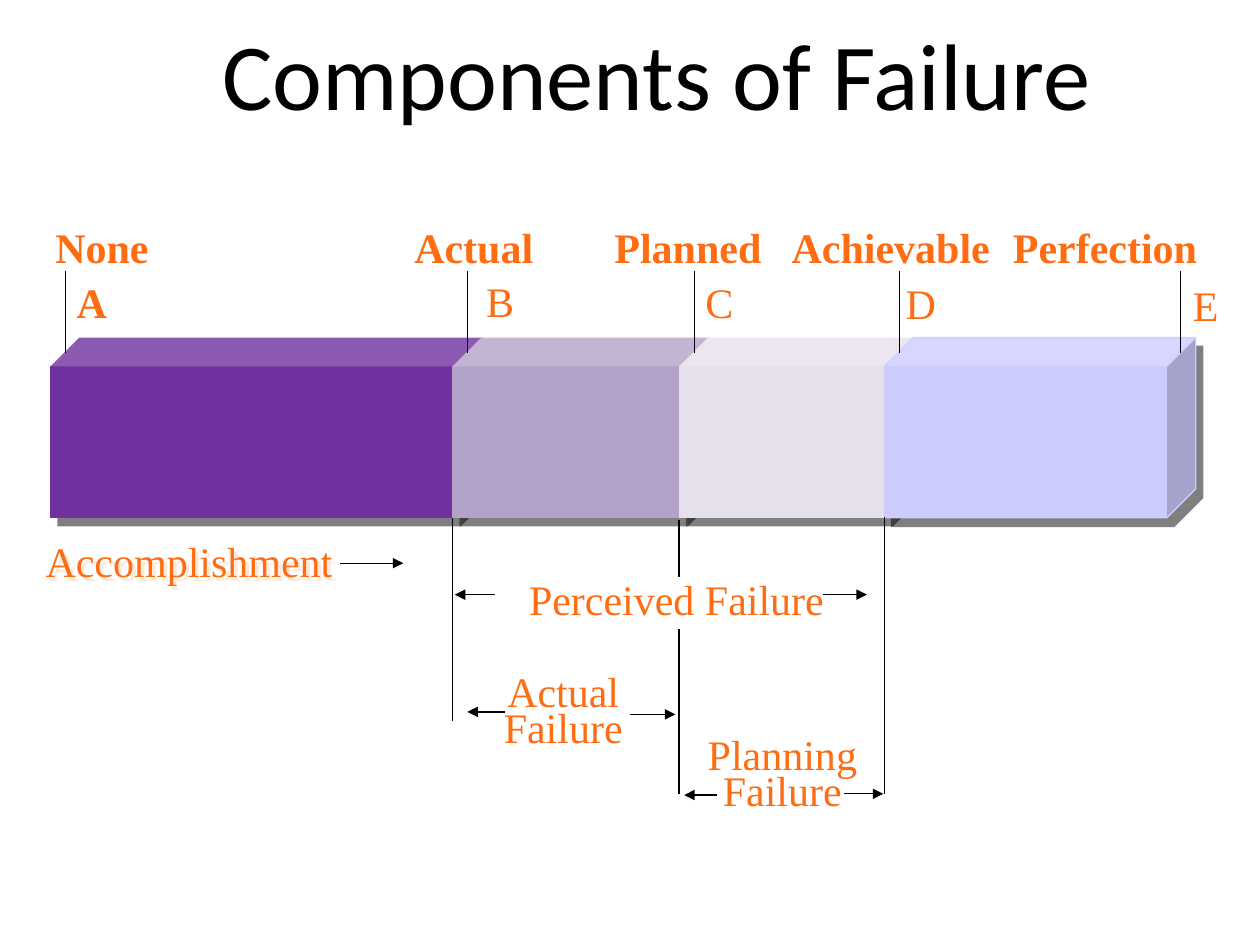
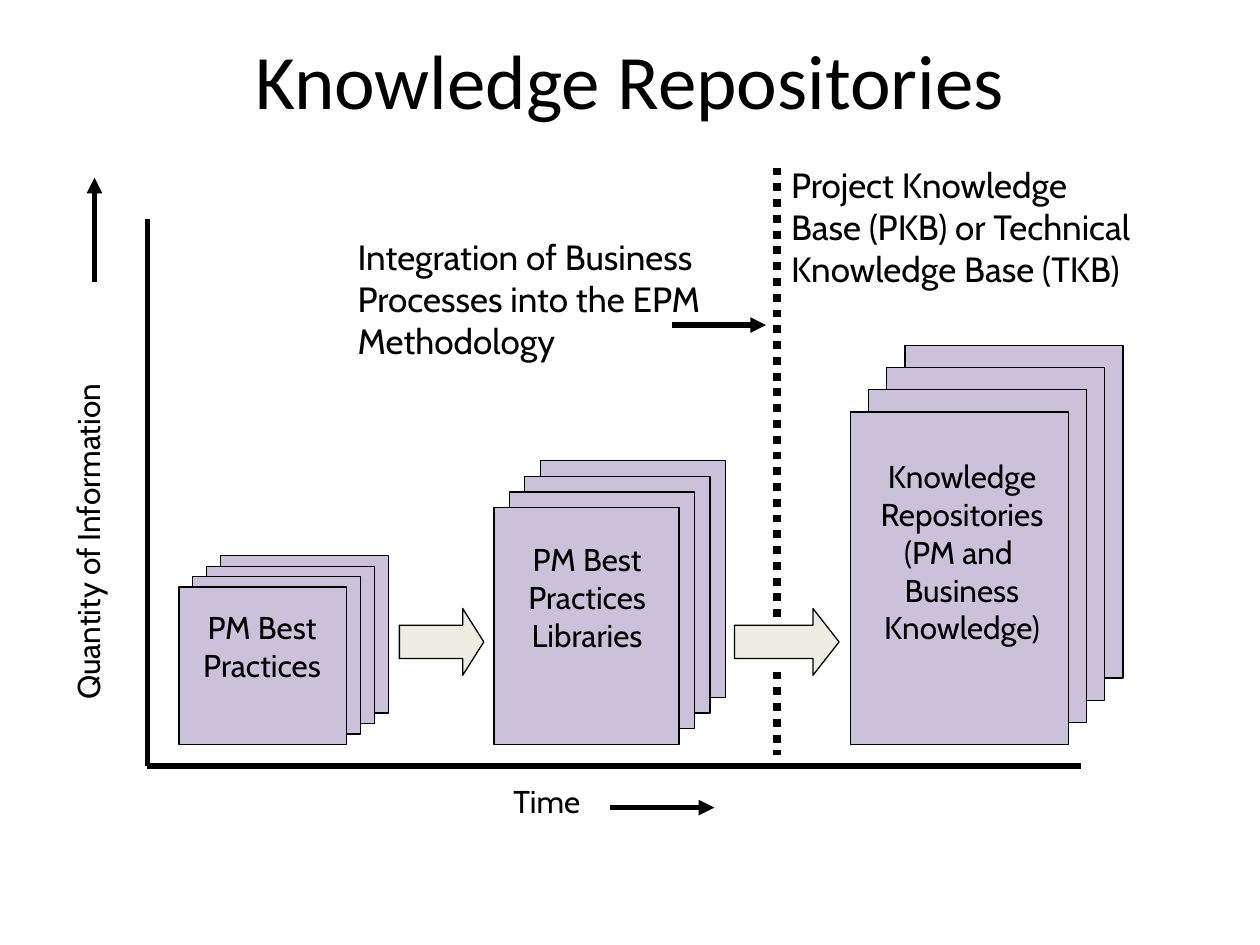
from dataclasses import dataclass

from lxml import etree
from pptx import Presentation
from pptx.dml.color import RGBColor
from pptx.enum import dml, shapes, text
from pptx.oxml import ns
from pptx.util import Inches, Pt


@dataclass(frozen=True)
class Theme:
    ink: str = "000000"
    label: str = "FF6C11"
    sheet: str = "CCC1DA"
    arrow: str = "EEECE1"
    title_font: str = "Calibri"
    scale_font: str = "Times New Roman"
    body_font: str = "Cabin"
    scale_size: int = 24
    note_size: int = 20
    body_size: int = 18
    thin: float = 0.75
    axis: float = 3
    dots: float = 4.5


T = Theme()
LEFT, CENTER, RIGHT = text.PP_ALIGN.LEFT, text.PP_ALIGN.CENTER, text.PP_ALIGN.RIGHT
MIDDLE = text.MSO_ANCHOR.MIDDLE

# ---- Slide 1 content ----
EDGES = [0.4, 3.59, 5.39, 7.02, 9.25]      # front edges of the blocks, A to E
BLOCK_COLORS = ["7030A0", "B3A2C7", "E6E0EC", "CCCCFF"]
BLOCK_TOP, BLOCK_HEIGHT, BLOCK_OVERLAP = 2.68, 1.43, 0.24
MARK_SHIFT = 0.12                          # markers stand mid-depth on the blocks
MARKS = [  # name, left, width, alignment; letter, its left, its top
    ("None", 0.34, 1.58, LEFT, "A", 0.51, 2.25),
    ("Actual", 2.97, 1.58, CENTER, "B", 3.76, 2.24),
    ("Planned", 4.67, 1.58, CENTER, "C", 5.5, 2.25),
    ("Achievable", 6.05, 2.04, CENTER, "D", 7.09, 2.26),
    ("Perfection", 7.84, 1.76, RIGHT, "E", 9.37, 2.27),
]
FAILURES = [  # label, box, wrap
    ("Perceived Failure", (3.99, 4.61, 2.76, 0.38), True),
    ("Actual Failure", (3.78, 5.34, 1.38, 0.67), True),
    ("Planning\nFailure", (5.51, 5.84, 1.4, 0.67), False),
]
DROP_LINES = [(3.59, 4.11, 5.72), (5.39, 4.13, 4.58), (5.39, 4.99, 6.3),
              (7.02, 4.1, 6.3)]            # x, top, bottom
SPAN_ARROWS = [(3.93, 3.61, 4.72), (6.53, 6.88, 4.72), (4.01, 3.71, 5.65),
               (5, 5.36, 5.67), (5.69, 5.43, 6.31), (6.7, 7.01, 6.3),
               (2.7, 3.2, 4.47)]           # from x, to x, y

# ---- Slide 2 content ----
ORIGIN, BASE, SHEETS = (1.17, 6.08), 5.91, 4
STACKS = [  # front sheet left, width, height; caption box, caption lines
    (1.42, 1.33, 1.25, (1.41, 4.78, 1.34, 0.7), ["PM Best", "Practices"]),
    (3.92, 1.47, 1.88, (3.99, 4.24, 1.34, 1), ["PM Best", "Practices", "Libraries"]),
    (6.75, 1.73, 2.64, (6.75, 3.58, 1.77, 1.9),
     ["Knowledge", "Repositories", "(PM and ", "Business", "Knowledge)"]),
]
STEP_ARROWS = [(3.17, 0.67), (5.83, 0.83)]  # left, width
DIVIDER = [(1.33, 4.91), (5.33, 5.99)]      # top, bottom
NOTES = [
    (["Integration of Business", "Processes into the EPM", "Methodology"],
     (2.74, 1.82, 3.51, 1.1), False),
    (["Project Knowledge", "Base (PKB) or Technical Knowledge Base (TKB)"],
     (6.18, 1.25, 3.83, 1.11), True),
]
AXIS_LABELS = [("Time", (3.83, 6.16, 1.02, 0.5), 0),
               ("Quantity of Information", (-1.36, 4.05, 4.21, 0.5), 270)]
AXIS_ARROWS = [((5.33, 2.58), (6.08, 2.58)), ((4.84, 6.41), (5.67, 6.41)),
               ((0.75, 2.24), (0.75, 1.41))]


# ---- Helpers ----
def rgb(color):
    return RGBColor.from_string(color)


def inches(values):
    return [Inches(v) for v in values]


def style_paragraph(p, font, size, color, align, spacing=None, bold=False):
    p.alignment = align
    if spacing:
        p.line_spacing = spacing
    p.font.name, p.font.size, p.font.bold = font, Pt(size), bold
    p.font.color.rgb = rgb(color)


def add_slide(prs, title, box, size):
    s = prs.slides.add_slide(prs.slide_layouts[5])
    sp = s.shapes.title
    sp.left, sp.top, sp.width, sp.height = inches(box)
    tf = sp.text_frame
    tf.text, tf.vertical_anchor = title, MIDDLE
    style_paragraph(tf.paragraphs[0], T.title_font, size, T.ink, CENTER)
    return s


def add_text(s, lines, box, font, size, color, align=CENTER, wrap=False,
             anchor=None, spacing=None, bold=False):
    sp = s.shapes.add_textbox(*inches(box))
    tf = sp.text_frame
    tf.word_wrap, tf.auto_size = wrap, text.MSO_AUTO_SIZE.SHAPE_TO_FIT_TEXT
    if anchor is not None:
        tf.vertical_anchor = anchor
    for i, line in enumerate(lines):
        p = tf.add_paragraph() if i else tf.paragraphs[0]
        p.text = line
        style_paragraph(p, font, size, color, align, spacing, bold)
    return sp


def scale_text(s, label, box, **kw):
    return add_text(s, [label], box, T.scale_font, T.scale_size, T.label, **kw)


def add_line(s, start, end, width=T.thin, arrow=False, dash=None):
    c = s.shapes.add_connector(shapes.MSO_CONNECTOR.STRAIGHT, *inches(start + end))
    c.line.color.rgb, c.line.width = rgb(T.ink), Pt(width)
    if dash:
        c.line.dash_style = dash
    if arrow:
        etree.SubElement(c.line._get_or_add_ln(), ns.qn("a:tailEnd"), type="triangle")
    etree.SubElement(c._element.spPr, ns.qn("a:effectLst"))


def add_shape(s, kind, box, fill, line=None):
    sp = s.shapes.add_shape(kind, *inches(box))
    sp.shadow.inherit = False
    sp.fill.solid()
    sp.fill.fore_color.rgb = rgb(fill)
    if line:
        sp.line.color.rgb, sp.line.width = rgb(line), Pt(T.thin)
    else:
        sp.line.fill.background()
    return sp


def cast_shadow(sp, color, alpha, distance, angle):
    sp.shadow.inherit = False
    effects = sp._element.spPr.find(ns.qn("a:effectLst"))
    shadow = etree.SubElement(effects, ns.qn("a:outerShdw"), blurRad="0",
                              dist=str(Pt(distance)), dir=str(angle * 60000),
                              algn="ctr", rotWithShape="0")
    clr = etree.SubElement(shadow, ns.qn("a:srgbClr"), val=color)
    etree.SubElement(clr, ns.qn("a:alpha"), val=str(alpha * 1000))


# ---- Slides ----
def build_failure(prs):
    s = add_slide(prs, "Components of Failure", (1, -0.03, 8.42, 1.21), 54)

    # Bar of blocks
    for left, right, color in zip(EDGES, EDGES[1:], BLOCK_COLORS):
        box = (left, BLOCK_TOP, right - left + BLOCK_OVERLAP, BLOCK_HEIGHT)
        outline = color if right == EDGES[-1] else None
        sp = add_shape(s, shapes.MSO_SHAPE.CUBE, box, color, outline)
        sp.adjustments[0] = 0.16
        cast_shadow(sp, T.ink, 50, 6.4, 51)

    # Markers above the bar
    for edge, (name, left, width, align, letter, x, y) in zip(EDGES, MARKS):
        scale_text(s, name, (left, 1.77, width, 0.44), align=align, wrap=True,
                   spacing=0.85, bold=True)
        scale_text(s, letter, (x, y, 0.43, 0.39), align=LEFT, anchor=MIDDLE,
                   spacing=0.7, bold=letter == "A")
        add_line(s, (edge + MARK_SHIFT, 2.8), (edge + MARK_SHIFT, 2.15))

    # Spans below the bar
    for label, box, wrap in FAILURES:
        scale_text(s, label, box, wrap=wrap, anchor=MIDDLE, spacing=0.7)
    sp = scale_text(s, "Accomplishment", (0.26, 4.2, 2.48, 0.5))
    cast_shadow(sp, T.label, 15, 3, 45)
    for x, top, bottom in DROP_LINES:
        add_line(s, (x, bottom), (x, top))
    for x1, x2, y in SPAN_ARROWS:
        add_line(s, (x1, y), (x2, y), arrow=True)


def build_repositories(prs):
    s = add_slide(prs, "Knowledge Repositories", (0.5, 0, 9, 1.25), 44)

    # Axes
    add_line(s, (ORIGIN[0], 1.74), ORIGIN, T.axis)
    add_line(s, ORIGIN, (8.58, ORIGIN[1]), T.axis)

    # Stacks of sheets, rear sheet first
    for left, width, height, caption_box, caption in STACKS:
        for i in reversed(range(SHEETS)):
            box = (left + i * width / 12, BASE - height - i * height / 15, width, height)
            add_shape(s, shapes.MSO_SHAPE.RECTANGLE, box, T.sheet, T.ink)
        add_text(s, caption, caption_box, T.body_font, T.body_size, T.ink)

    # Block arrows and dotted divider
    for left, width in STEP_ARROWS:
        sp = add_shape(s, shapes.MSO_SHAPE.RIGHT_ARROW, (left, 4.83, width, 0.53),
                       T.arrow, T.ink)
        sp.adjustments[1] = 0.25 * width / 0.53
    for top, bottom in DIVIDER:
        add_line(s, (6.17, top), (6.17, bottom), T.dots, dash=dml.MSO_LINE.ROUND_DOT)

    # Notes, axis labels and their arrows
    for lines, box, wrap in NOTES:
        add_text(s, lines, box, T.body_font, T.note_size, T.ink, LEFT, wrap)
    for label, box, angle in AXIS_LABELS:
        sp = add_text(s, [label], box, T.body_font, T.body_size, T.ink)
        sp.rotation = angle
    for start, end in AXIS_ARROWS:
        add_line(s, start, end, T.axis, arrow=True)


def main():
    prs = Presentation()
    prs.slide_width, prs.slide_height = Inches(10), Inches(7.5)
    build_failure(prs)
    build_repositories(prs)
    prs.save("out.pptx")


if __name__ == "__main__":
    main()
